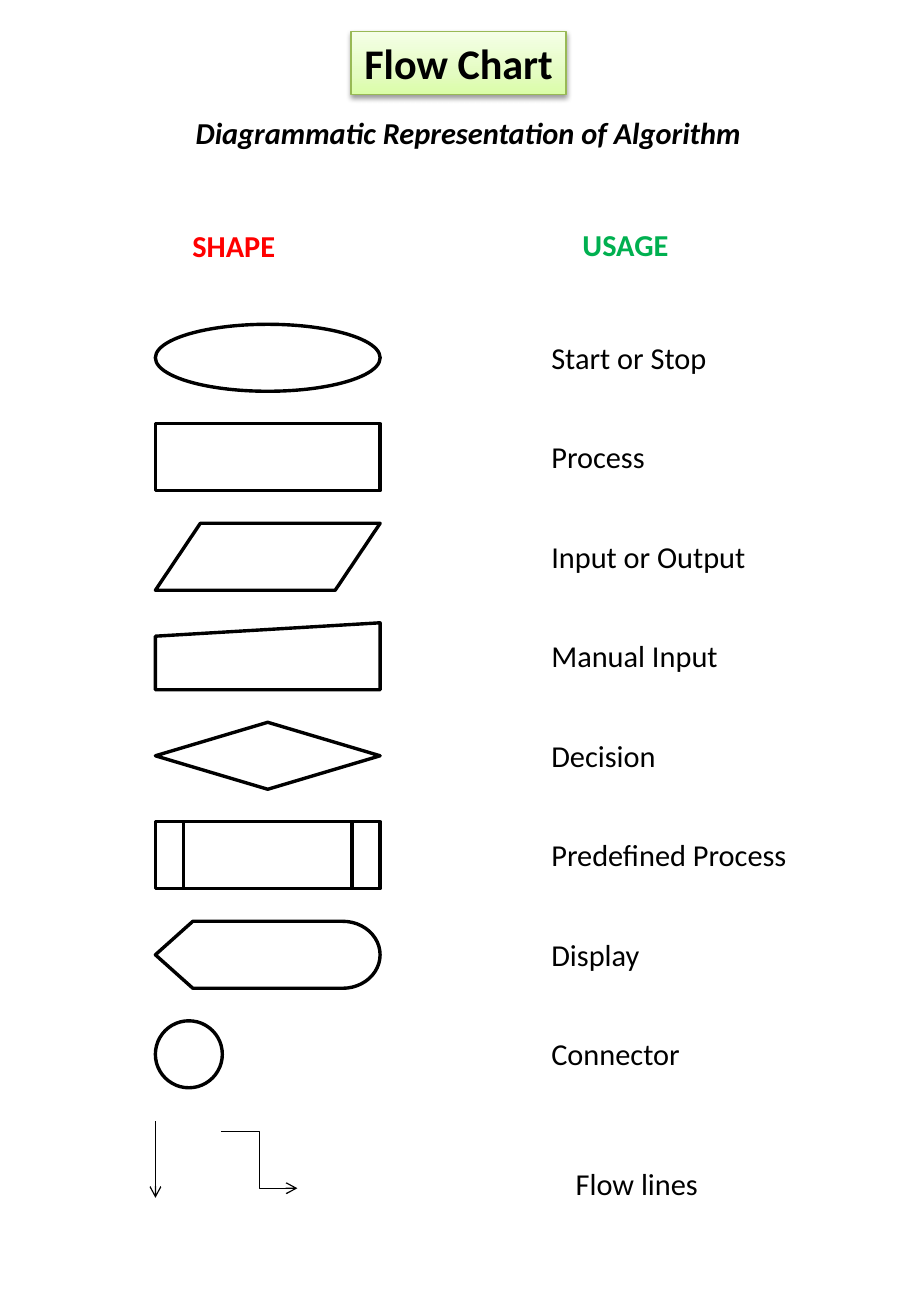
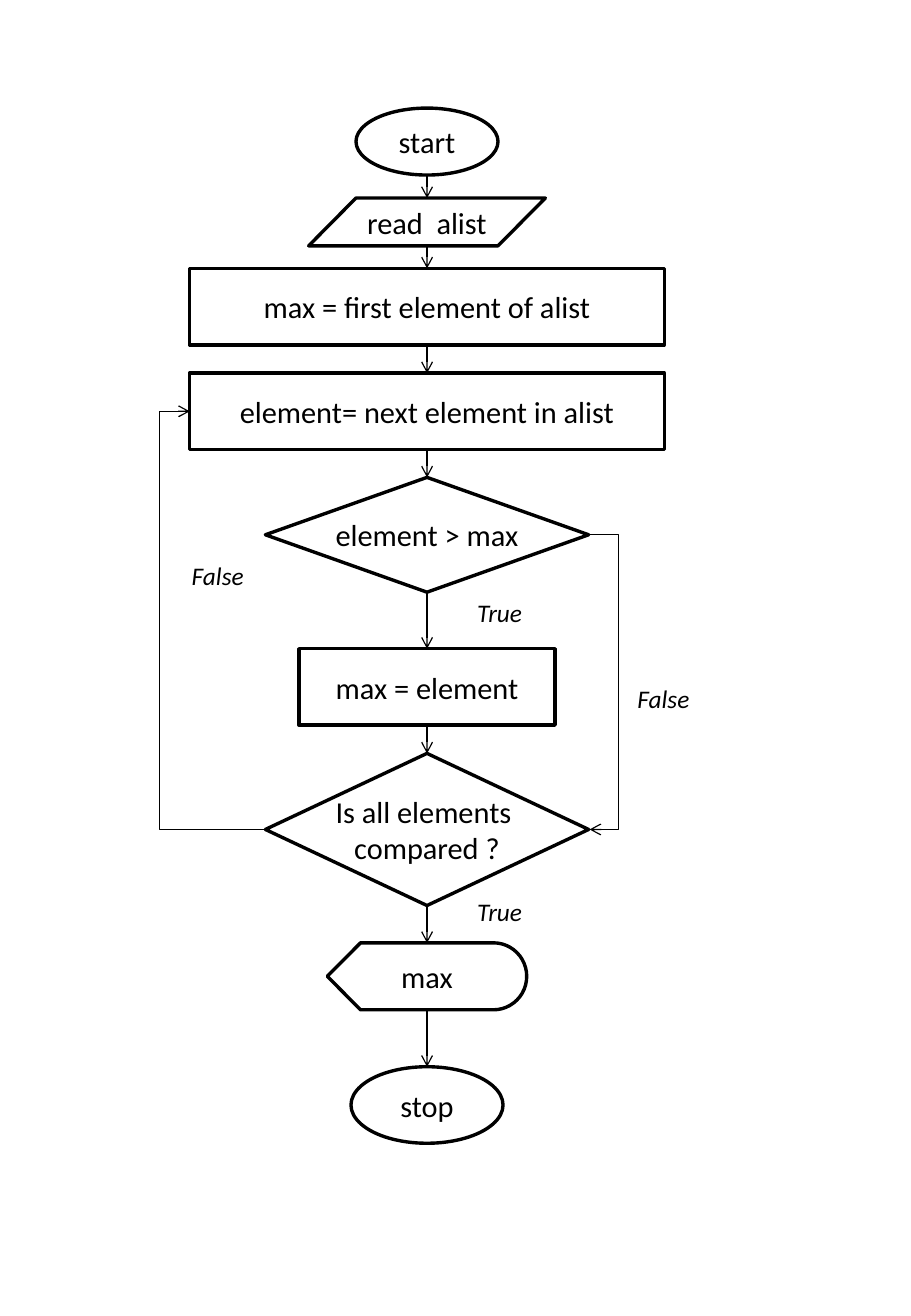
from copy import deepcopy
from lxml.etree import SubElement
from pptx import Presentation
from pptx.dml.color import RGBColor as RGB
from pptx.enum.shapes import MSO_CONNECTOR as Link, MSO_SHAPE as Kind
from pptx.enum.text import MSO_ANCHOR as Anchor, MSO_AUTO_SIZE as Fit, PP_ALIGN as Align
from pptx.oxml import parse_xml
from pptx.oxml.ns import qn
from pptx.util import Cm, Pt

HUES = {"ink": "000000", "paper": "FFFFFF", "red": "FF0000", "green": "00B050",
        "edge": "98B955", "deep": "DAFDA7", "mid": "E4FCC2", "pale": "F5FFE7"}
FONT = "Calibri"


def put(page, kind, x, y, w, h, text="", size=18, hue="ink", bold=False, ital=False, align=Align.CENTER):
    area = Cm(x), Cm(y), Cm(w), Cm(h)
    if kind is None:
        item = page.shapes.add_textbox(*area)
    else:
        item = page.shapes.add_shape(kind, *area)
        item.shadow.inherit = False
        item.fill.solid()
        item.fill.fore_color.rgb = RGB.from_string(HUES["paper"])
        item.line.color.rgb = RGB.from_string(HUES["ink"])
        item.line.width = Pt(2)
    if text:
        frame = item.text_frame
        frame.text = text
        frame.word_wrap = False
        if kind is None:
            frame.auto_size = Fit.SHAPE_TO_FIT_TEXT
        else:
            frame.vertical_anchor = Anchor.MIDDLE
        for para in frame.paragraphs:
            para.alignment = align
            for run in para.runs:
                font = run.font
                font.name, font.size = FONT, Pt(size)
                font.bold, font.italic = bold, ital
                font.color.rgb = RGB.from_string(HUES[hue])
    return item


def arrow(page, x1, y1, x2, y2, bend=None):
    form = Link.STRAIGHT if bend is None else Link.ELBOW
    link = page.shapes.add_connector(form, Cm(x1), Cm(y1), Cm(x2), Cm(y2))
    link.line.color.rgb = RGB.from_string(HUES["ink"])
    link.line.width = Pt(0.75)
    props = link._element.spPr
    SubElement(link.line._get_or_add_ln(), qn("a:tailEnd"), type="arrow")
    SubElement(props, qn("a:effectLst"))
    if bend is not None:
        guides = props.prstGeom.get_or_add_avLst()
        SubElement(guides, qn("a:gd"), name="adj1", fmla=f"val {round(bend * 100000)}")


deck = Presentation()
deck.slide_width, deck.slide_height = Cm(19.05), Cm(27.51)
blank = deck.slide_layouts[6]

page = deck.slides.add_slide(blank)
title = put(page, Kind.RECTANGLE, 7.34, 0.66, 4.5, 1.32, "Flow Chart", 25, bold=True)
title.line.color.rgb = RGB.from_string(HUES["edge"])
title.line.width = Pt(0.75)
title.fill.gradient()
title.fill.gradient_angle = 90
first = title._element.xpath(".//a:gs")[0]
first.addnext(deepcopy(first))
for stop, (spot, hue) in zip(title.fill.gradient_stops, [(0, "deep"), (0.35, "mid"), (1, "pale")]):
    stop.position = spot
    stop.color.rgb = RGB.from_string(HUES[hue])
title._element.spPr.find(qn("a:effectLst")).append(parse_xml(
    '<a:outerShdw xmlns:a="http://schemas.openxmlformats.org/drawingml/2006/main" '
    'blurRad="40000" dist="20000" dir="5400000" rotWithShape="0">'
    f'<a:srgbClr val="{HUES["ink"]}"><a:alpha val="38000"/></a:srgbClr></a:outerShdw>'))

put(page, None, 3.76, 2.26, 12.07, 1.02, "Diagrammatic Representation of Algorithm", bold=True, ital=True)
put(page, None, 3.76, 4.62, 2.26, 1.02, "SHAPE", hue="red", bold=True)
put(page, None, 11.91, 4.6, 2.34, 1.02, "USAGE", hue="green", bold=True)

rows = [
    (Kind.OVAL, 4.7, "Start or Stop", 4.93),
    (Kind.RECTANGLE, 4.7, "Process", 2.49),
    (Kind.FLOWCHART_DATA, 4.7, "Input or Output", 4.62),
    (Kind.FLOWCHART_MANUAL_INPUT, 4.7, "Manual Input", 4.04),
    (Kind.FLOWCHART_DECISION, 4.7, "Decision", 2.72),
    (Kind.FLOWCHART_PREDEFINED_PROCESS, 4.7, "Predefined Process", 5.64),
    (Kind.FLOWCHART_DISPLAY, 4.7, "Display", 2.39),
    (Kind.FLOWCHART_CONNECTOR, 1.4, "Connector", 3.23),
]
for i, (kind, wide, use, span) in enumerate(rows):
    top = 6.78 + i * 2.08
    put(page, kind, 3.25, top, wide, 1.4)
    put(page, None, 11.28, top + 0.18, span, 1.02, use, align=Align.LEFT)
arrow(page, 3.25, 23.44, 3.25, 25.04)
arrow(page, 4.62, 23.65, 6.22, 24.84, 0.5)
put(page, None, 11.79, 24.23, 3.1, 1.02, "Flow lines", align=Align.LEFT)

page = deck.slides.add_slide(blank)
mid = 8.93
steps = [
    (Kind.OVAL, 2.26, 2.97, 1.4, "start"),
    (Kind.FLOWCHART_DATA, 4.14, 4.95, 1, "read  alist"),
    (Kind.RECTANGLE, 5.61, 9.93, 1.6, "max = first element of alist"),
    (Kind.RECTANGLE, 7.8, 9.93, 1.6, "element= next element in alist"),
    (Kind.FLOWCHART_DECISION, 9.98, 6.76, 2.4, "element > max"),
    (Kind.RECTANGLE, 13.56, 5.36, 1.6, "max = element"),
    (Kind.FLOWCHART_DECISION, 15.75, 6.76, 3.18, "Is all elements \ncompared ?"),
    (Kind.FLOWCHART_DISPLAY, 19.71, 4.17, 1.4, "max"),
    (Kind.OVAL, 22.3, 3.18, 1.6, "stop"),
]
for kind, top, wide, high, text in steps:
    put(page, kind, mid - wide / 2, top, wide, high, text)
for (_, top, _, high, _), (_, goal, *_) in zip(steps, steps[1:]):
    arrow(page, mid, top + high, mid, goal)

arrow(page, 5.55, 17.34, 3.97, 8.6, 1.4)
arrow(page, 12.31, 11.18, 12.33, 17.34, 31)
for text, x, y, wide in [("False", 3.76, 11.58, 1.63), ("True", 9.73, 12.37, 1.45),
                         ("False", 13.08, 14.15, 1.63), ("True", 9.73, 18.62, 1.45)]:
    put(page, None, x, y, wide, 0.89, text, 15, ital=True, align=Align.LEFT)

deck.save("out.pptx")
